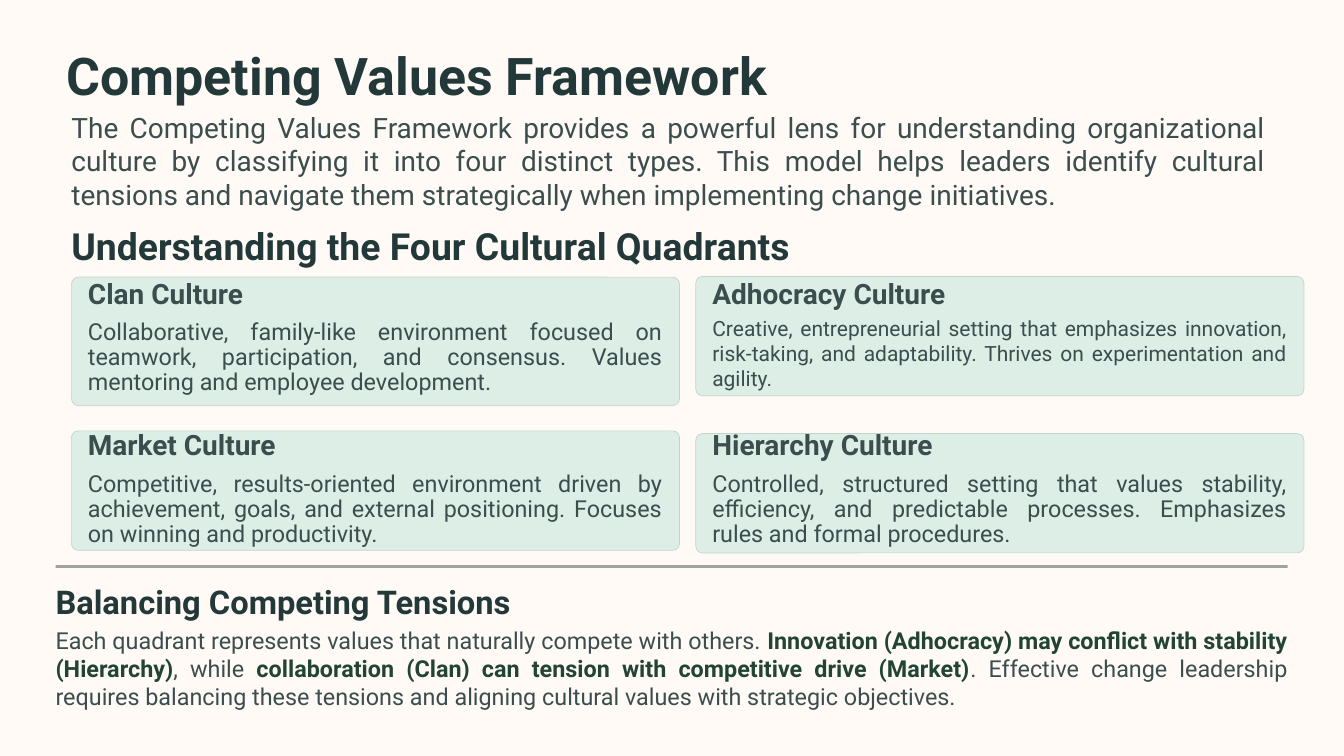
from dataclasses import dataclass

from lxml.etree import SubElement
from pptx import Presentation
from pptx.dml.color import RGBColor
from pptx.enum.shapes import MSO_SHAPE
from pptx.enum.text import MSO_ANCHOR, MSO_AUTO_SIZE, PP_ALIGN
from pptx.oxml.ns import qn
from pptx.util import Cm, Pt


@dataclass(frozen=True)
class Theme:
    font: str = "Roboto"
    background: str = "FFFAF6"
    heading: str = "233939"
    text: str = "3B4E4E"
    emphasis: str = "224435"
    card: str = "DDEEE6"
    card_line: str = "C3D4CC"
    title_size: float = 44.5
    section_size: float = 32
    closing_size: float = 28
    lead_size: float = 24
    body_size: float = 20
    small_size: float = 18


class SlideBuilder:
    def __init__(self, slide, theme):
        self.slide = slide
        self.theme = theme
        fill = slide.background.fill
        fill.solid()
        fill.fore_color.rgb = RGBColor.from_string(theme.background)

    def set_text(self, shape, runs, size, spacing=None, align=PP_ALIGN.LEFT, wrap=True):
        """Fill a text shape with (text, colour, bold) runs."""
        frame = shape.text_frame
        frame.margin_left = frame.margin_right = 0
        frame.margin_top = frame.margin_bottom = 0
        frame.vertical_anchor = MSO_ANCHOR.TOP
        frame.auto_size = MSO_AUTO_SIZE.NONE
        frame.word_wrap = wrap
        paragraph = frame.paragraphs[0]
        paragraph.alignment = align
        if spacing:
            paragraph.line_spacing = Pt(spacing)
        for text, color, bold in runs:
            run = paragraph.add_run()
            run.text = text
            run.font.name = self.theme.font
            run.font.size = Pt(size)
            run.font.bold = bold
            run.font.color.rgb = RGBColor.from_string(color)

    def title(self, text, left, top, width, height):
        shape = self.slide.shapes.title
        shape.left, shape.top = Cm(left), Cm(top)
        shape.width, shape.height = Cm(width), Cm(height)
        self.set_text(shape, [(text, self.theme.heading, True)], self.theme.title_size, 55.5)

    def heading(self, text, left, top, width, height, size, spacing, color):
        shape = self.slide.shapes.add_textbox(Cm(left), Cm(top), Cm(width), Cm(height))
        self.set_text(shape, [(text, color, True)], size, spacing, wrap=False)

    def body(self, runs, left, top, width, height, size, spacing=None):
        shape = self.slide.shapes.add_textbox(Cm(left), Cm(top), Cm(width), Cm(height))
        self.set_text(shape, runs, size, spacing, PP_ALIGN.JUSTIFY)

    def box(self, kind, left, top, width, height, color):
        shape = self.slide.shapes.add_shape(kind, Cm(left), Cm(top), Cm(width), Cm(height))
        shape.shadow.inherit = False
        shape.fill.solid()
        shape.fill.fore_color.rgb = RGBColor.from_string(color)
        return shape

    def card(self, name, description, left, top, height, name_top, text_top, size):
        theme = self.theme
        panel = self.box(MSO_SHAPE.ROUNDED_RECTANGLE, left, top, 18.39, height, theme.card)
        panel.adjustments[0] = 0.056
        panel.line.color.rgb = RGBColor.from_string(theme.card_line)
        panel.line.width = Pt(0.6)
        inner = left + 0.5
        self.heading(name, inner, name_top, 6.05, 0.76, theme.lead_size, 21, theme.text)
        self.body([(description, theme.text, False)], inner, text_top, 17.37, 2.27, size, 21.5)

    def divider(self, left, top, width):
        bar = self.box(MSO_SHAPE.RECTANGLE, left, top, width, 0.08, self.theme.text)
        bar.line.fill.background()
        color = next(bar.element.spPr.iter(qn("a:srgbClr")))
        SubElement(color, qn("a:alpha")).set("val", "50000")


def main():
    theme = Theme()
    presentation = Presentation()
    presentation.slide_width, presentation.slide_height = Cm(40.64), Cm(22.86)
    slide = presentation.slides.add_slide(presentation.slide_layouts[5])
    builder = SlideBuilder(slide, theme)

    builder.title("Competing Values Framework", 2.01, 1.24, 36.09, 2.29)
    introduction = (
        "The Competing Values Framework provides a powerful lens for understanding "
        "organizational culture by classifying it into four distinct types. This model helps "
        "leaders identify cultural tensions and navigate them strategically when implementing "
        "change initiatives."
    )
    builder.body([(introduction, theme.text, False)], 2.16, 3.33, 36.09, 2.29, theme.lead_size)
    builder.heading("Understanding the Four Cultural Quadrants", 2.16, 6.91, 22.89, 1.19,
                    theme.section_size, 34, theme.heading)

    left_column, right_column = 2.16, 21.04
    first_name, second_name, second_text = 8.64, 13.21, 14.27
    cards = [
        ("Clan Culture",
         "Collaborative, family-like environment focused on teamwork, participation, and "
         "consensus. Values mentoring and employee development.",
         left_column, 8.38, 3.89, first_name, 9.68, theme.body_size),
        ("Adhocracy Culture",
         "Creative, entrepreneurial setting that emphasizes innovation, risk-taking, and "
         "adaptability. Thrives on experimentation and agility.",
         right_column, 8.36, 3.61, first_name, 9.53, theme.small_size),
        ("Market Culture",
         "Competitive, results-oriented environment driven by achievement, goals, and external "
         "positioning. Focuses on winning and productivity.",
         left_column, 13.03, 3.61, second_name, second_text, theme.body_size),
        ("Hierarchy Culture",
         "Controlled, structured setting that values stability, efficiency, and predictable "
         "processes. Emphasizes rules and formal procedures.",
         right_column, 13.11, 3.61, second_name, second_text, theme.body_size),
    ]
    for card in cards:
        builder.card(*card)

    closing_left, closing_width = 1.68, 37.26
    builder.divider(closing_left, 17.09, closing_width)
    builder.heading("Balancing Competing Tensions", closing_left, 17.88, 12.24, 0.91,
                    theme.closing_size, 25.5, theme.heading)
    builder.body([
        ("Each quadrant represents values that naturally compete with others. ",
         theme.text, False),
        ("Innovation (Adhocracy) may conflict with stability (Hierarchy)", theme.emphasis, True),
        (", while ", theme.text, False),
        ("collaboration (Clan) can tension with competitive drive (Market)",
         theme.emphasis, True),
        (". Effective change leadership requires balancing these tensions and aligning cultural "
         "values with strategic objectives.", theme.text, False),
    ], closing_left, 18.92, closing_width, 1.55, theme.body_size)

    presentation.save("out.pptx")


if __name__ == "__main__":
    main()
